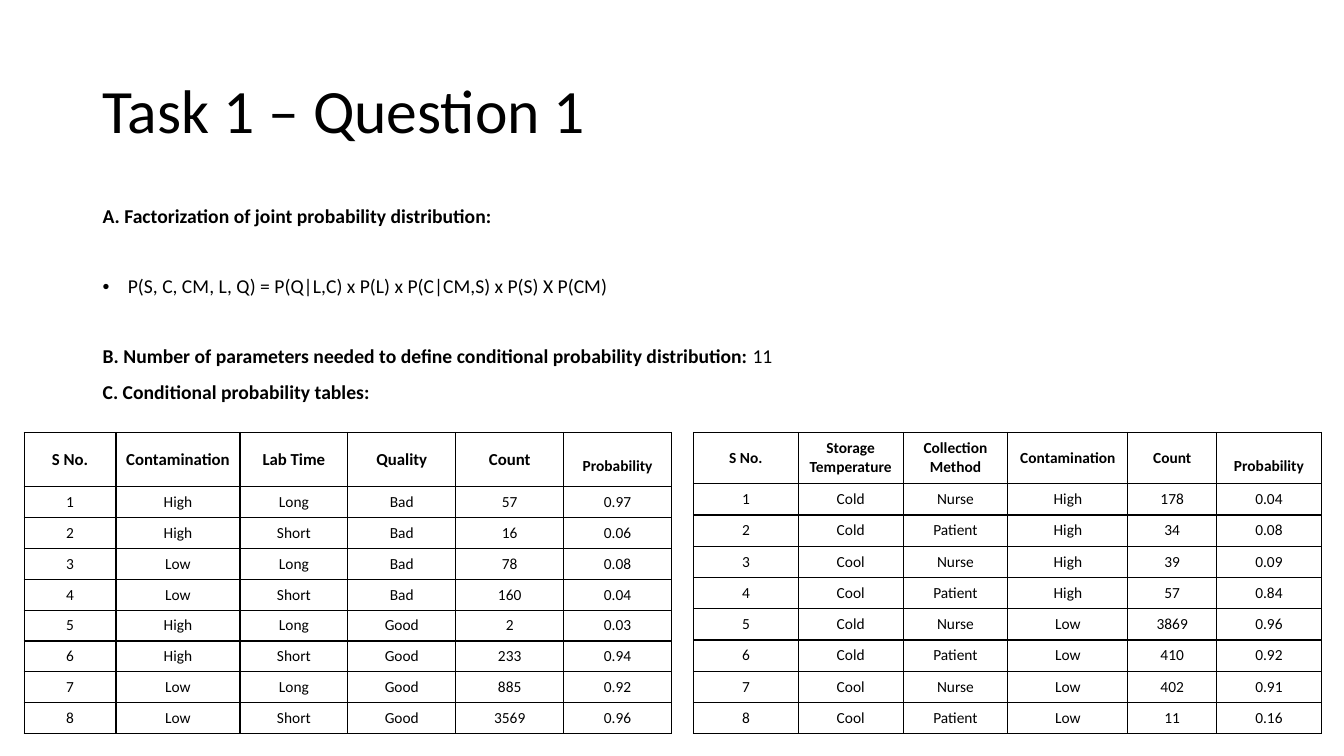
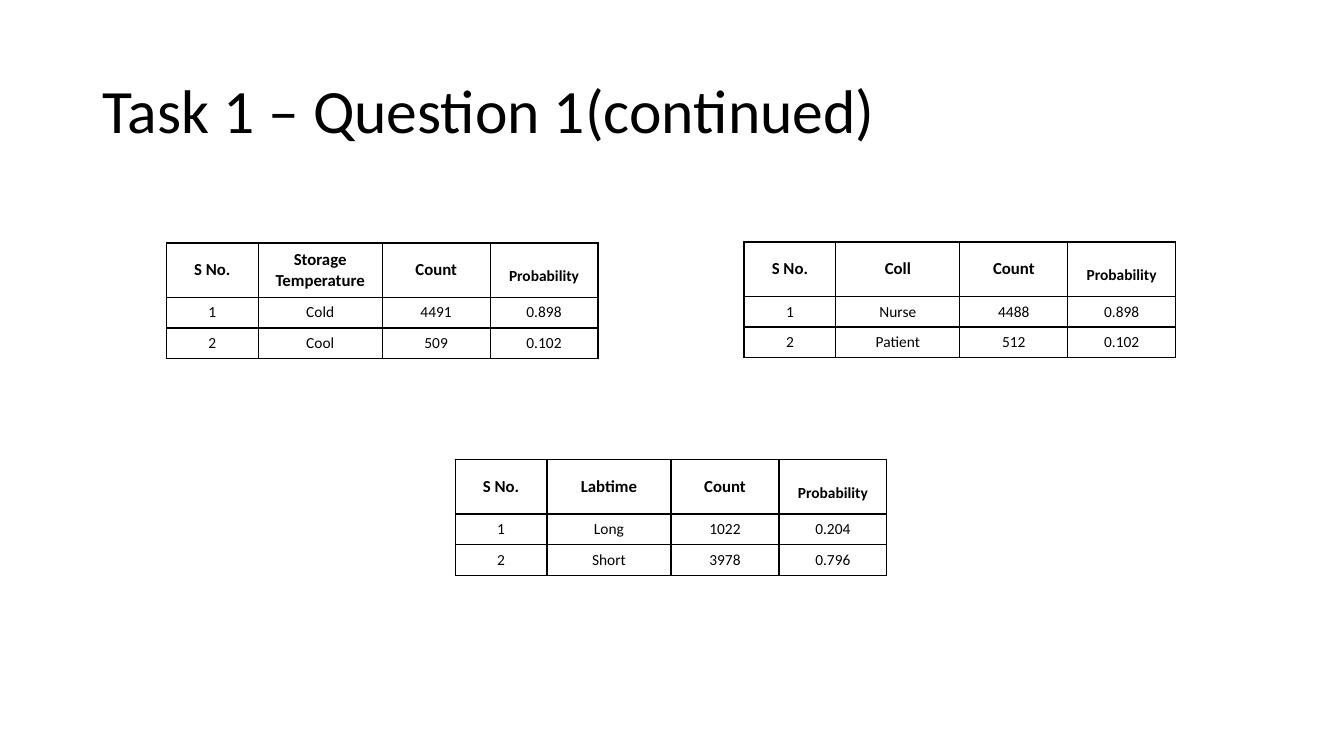
from lxml import etree
from pptx import Presentation
from pptx.dml.color import RGBColor
from pptx.enum.text import MSO_ANCHOR, PP_ALIGN
from pptx.oxml.ns import qn
from pptx.util import Inches, Pt

MIDDLE, TOP = MSO_ANCHOR.MIDDLE, MSO_ANCHOR.TOP
LEFT, CENTER = PP_ALIGN.LEFT, PP_ALIGN.CENTER
WIDTH, HEIGHT = Inches(13.33), Inches(7.5)
FONT, INK = "Calibri", "000000"
MARGIN, CONTENT = 6.9, 86.25
BLANK_LAYOUT = 6
NARROW, BROAD, REGULAR = 6.83, 9.23, 8.03

QUALITY = (
    ["S No.", "Contamination", "Lab Time", "Quality", "Count", "Probability"],
    ["High Long Bad 57 0.97", "High Short Bad 16 0.06",
     "Low Long Bad 78 0.08", "Low Short Bad 160 0.04",
     "High Long Good 2 0.03", "High Short Good 233 0.94",
     "Low Long Good 885 0.92", "Low Short Good 3569 0.96"],
)
CONTAMINATION = (
    ["S No.", "Storage Temperature", "Collection Method", "Contamination",
     "Count", "Probability"],
    ["Cold Nurse High 178 0.04", "Cold Patient High 34 0.08",
     "Cool Nurse High 39 0.09", "Cool Patient High 57 0.84",
     "Cold Nurse Low 3869 0.96", "Cold Patient Low 410 0.92",
     "Cool Nurse Low 402 0.91", "Cool Patient Low 11 0.16"],
)
PRIORS = [
    ("Storage Temperature", ["Cold 4491 0.898", "Cool 509 0.102"], 32.13),
    ("Labtime", ["Long 1022 0.204", "Short 3978 0.796"], 60.8),
    ("Coll", ["Nurse 4488 0.898", "Patient 512 0.102"], 32),
]


def across(share):
    """Return a percentage of the slide width as a length."""
    return int(WIDTH * share / 100)


def down(share):
    """Return a percentage of the slide height as a length."""
    return int(HEIGHT * share / 100)


def color(hex_code):
    """Turn a hex string into a colour."""
    return RGBColor.from_string(hex_code)


def add_bullet(paragraph):
    """Give a paragraph a hanging bullet."""
    properties = paragraph._p.get_or_add_pPr()
    properties.set("marL", str(Inches(0.25)))
    properties.set("indent", str(-Inches(0.25)))
    font = etree.SubElement(properties, qn("a:buFont"))
    font.set("typeface", "Arial")
    etree.SubElement(properties, qn("a:buChar")).set("char", "•")


def write(paragraph, text, size=14, bold=False, align=LEFT, spacing=None,
          before=None, bullet=False):
    """Add formatted text to a paragraph."""
    paragraph.alignment = align
    if spacing:
        paragraph.line_spacing = spacing
    if before:
        paragraph.space_before = Pt(before)
    if bullet:
        add_bullet(paragraph)
    run = paragraph.add_run()
    run.text = text
    run.font.name, run.font.size, run.font.bold = FONT, Pt(size), bold
    run.font.color.rgb = color(INK)


def add_text_frame(slide, top, height, anchor):
    """Place a wrapping text frame across the content width."""
    box = slide.shapes.add_textbox(across(MARGIN), down(top),
                                   across(CONTENT), down(height))
    frame = box.text_frame
    frame.word_wrap, frame.vertical_anchor = True, anchor
    return frame


def add_titled_slide(deck, title):
    """Add a blank slide with the shared title style."""
    slide = deck.slides.add_slide(deck.slide_layouts[BLANK_LAYOUT])
    frame = add_text_frame(slide, 5.33, 19.33, MIDDLE)
    write(frame.paragraphs[0], title, size=44, spacing=0.9)
    return slide


def add_answers(slide):
    """Write the answers to the three parts of the question."""
    frame = add_text_frame(slide, 26.67, 63.47, TOP)
    factorization = frame.paragraphs[0]
    write(factorization, "A. Factorization of joint probability distribution:",
          bold=True, spacing=0.9)
    write(frame.add_paragraph(),
          "P(S, C, CM, L, Q) = P(Q|L,C) x P(L) x P(C|CM,S) x P(S) X P(CM)",
          spacing=0.9, before=35, bullet=True)
    parameters = frame.add_paragraph()
    write(parameters, "B. Number of parameters needed to define conditional "
          "probability distribution: ", bold=True, spacing=0.9, before=35)
    write(parameters, "11")
    write(frame.add_paragraph(), "C. Conditional probability tables:",
          bold=True, spacing=0.9, before=10)


def outline(cell):
    """Draw a thin border on every side of a cell."""
    properties = cell._tc.get_or_add_tcPr()
    for position, side in enumerate(("L", "R", "T", "B")):
        line = etree.Element(qn(f"a:ln{side}"), w=str(Pt(1)))
        fill = etree.SubElement(line, qn("a:solidFill"))
        etree.SubElement(fill, qn("a:srgbClr")).set("val", INK)
        properties.insert(position, line)


def fill_cell(cell, text, size, bold, lowered):
    """Write one outlined cell, with its text lowered if asked."""
    cell.fill.background()
    cell.margin_left = cell.margin_right = Inches(0.07)
    cell.vertical_anchor = TOP if lowered else MIDDLE
    if lowered:
        cell.margin_top = Inches(0.24)
    write(cell.text_frame.paragraphs[0], text, size=size, bold=bold,
          align=CENTER)
    outline(cell)


def add_probability_table(slide, headers, records, left, top, widths, height,
                          header_height=7.2, header_size=12):
    """Add a table of numbered records under a bold header row."""
    rows = [headers] + [[str(number), *record.split()]
                        for number, record in enumerate(records, 1)]
    table = slide.shapes.add_table(
        len(rows), len(widths), across(left), down(top),
        across(sum(widths)), down(height)).table
    table.first_row = table.horz_banding = False
    for column, width in zip(table.columns, widths):
        column.width = across(width)
    record_height = (height - header_height) / len(records)
    for index, values in enumerate(rows):
        is_header = index == 0
        table.rows[index].height = down(
            header_height if is_header else record_height)
        for place, text in enumerate(values):
            lowered = is_header and text == "Probability"
            size = header_size if is_header and not lowered else 11
            fill_cell(table.cell(index, place), text, size, is_header, lowered)


def main():
    """Build and save the two slides."""
    deck = Presentation()
    deck.slide_width, deck.slide_height = WIDTH, HEIGHT

    question = add_titled_slide(deck, "Task 1 – Question 1")
    add_answers(question)
    add_probability_table(question, *QUALITY, 1.8, 57.2,
                          [NARROW, BROAD] + [REGULAR] * 4, 39.87)
    add_probability_table(question, *CONTAMINATION, 51.6, 57.2,
                          [7.8, 7.8, 7.8, 8.93, 6.6, 7.8], 39.87,
                          header_height=6.8, header_size=11)

    continued = add_titled_slide(deck, "Task 1 – Question 1(continued)")
    for step, (variable, records, top) in enumerate(PRIORS):
        add_probability_table(
            continued, ["S No.", variable, "Count", "Probability"], records,
            12.38 + 21.49 * step, top, [NARROW, BROAD, REGULAR, REGULAR],
            15.33)

    deck.save("out.pptx")


if __name__ == "__main__":
    main()
